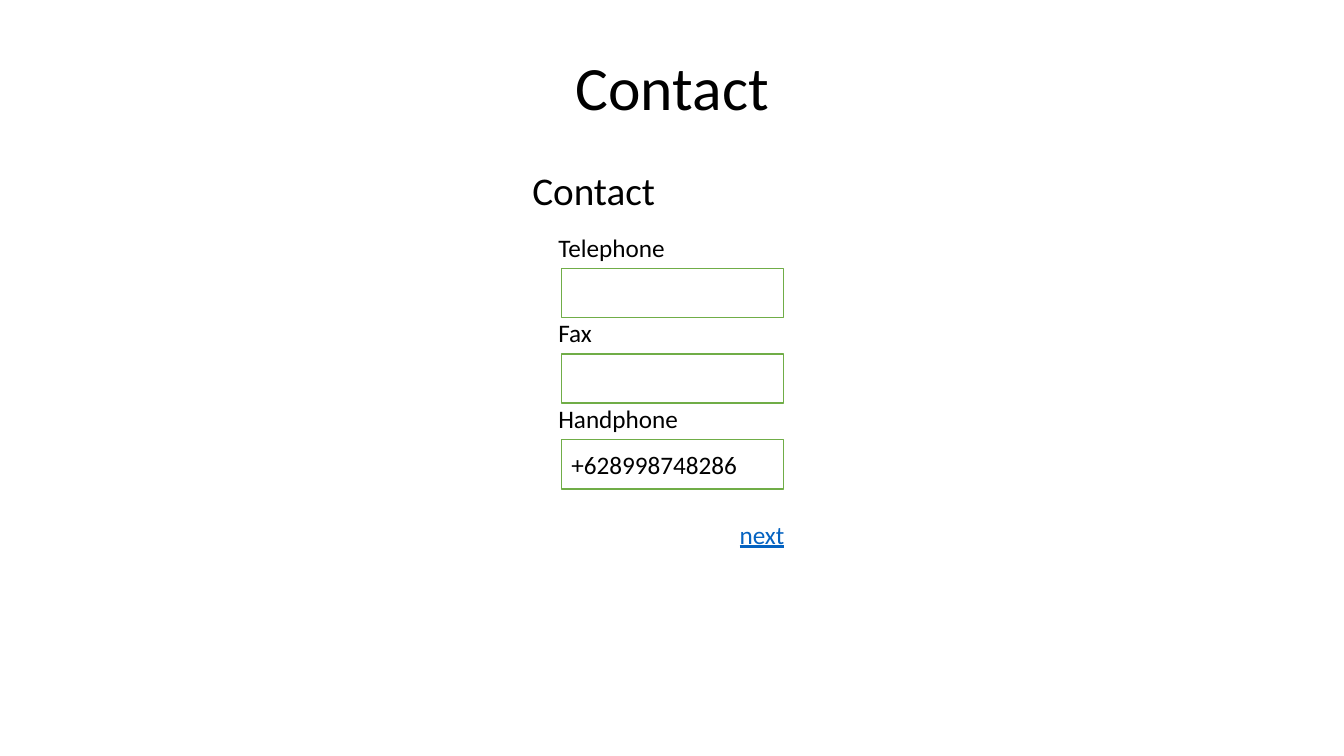
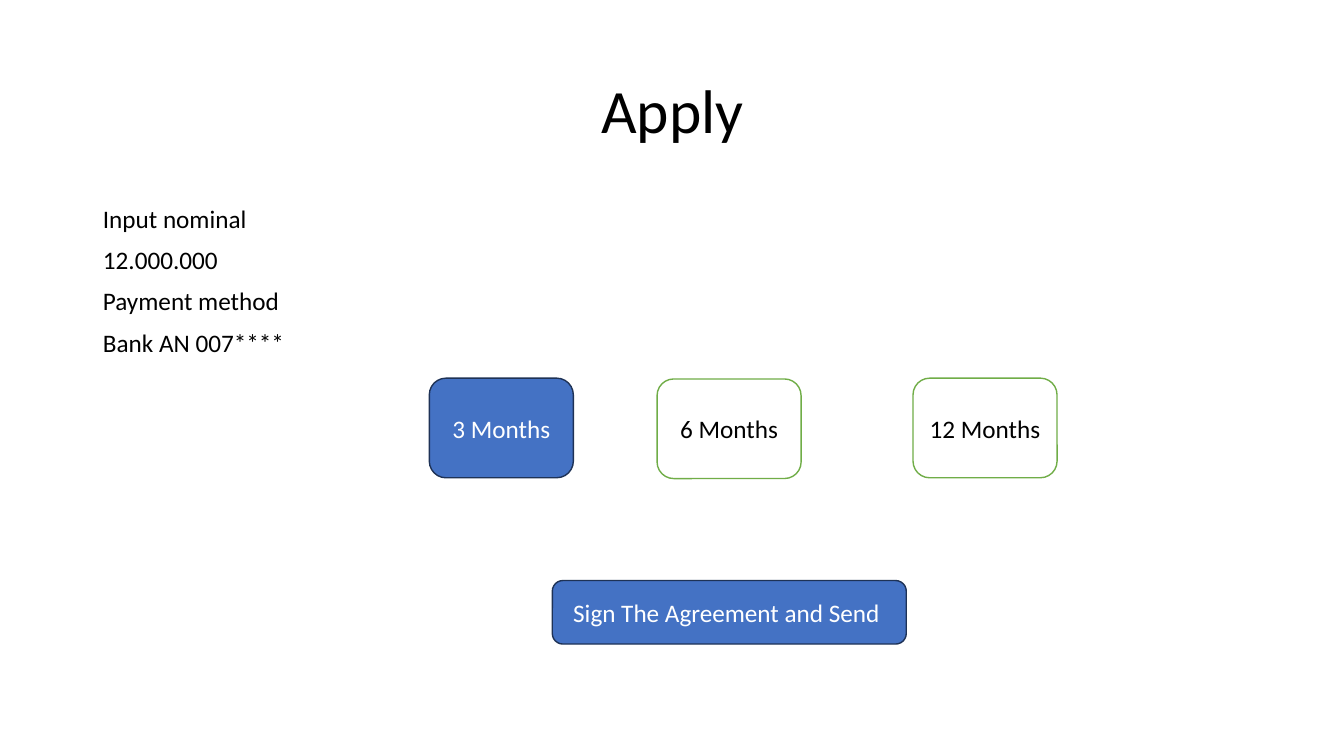
from lxml import etree
from pptx import Presentation
from pptx import util as u
from pptx.dml.color import RGBColor
from pptx.enum import shapes, text
from pptx.oxml.ns import qn

COLOURS = {
    "ink": "000000",
    "paper": "FFFFFF",
    "outline": "70AD47",
    "accent": "4472C4",
    "accent_edge": "1E3256",
    "link": "0563C1",
}
ALIGN = text.PP_ALIGN
SHAPE = shapes.MSO_SHAPE


def rgb(name):
    return RGBColor.from_string(COLOURS[name])


class Deck:
    """Holds the shared style and the slide being built; lengths are in cm."""

    font = "Calibri"
    title_size, text_size = 44, 18

    def __init__(self):
        self.prs = Presentation()
        self.prs.slide_width, self.prs.slide_height = u.Cm(33.87), u.Cm(19.05)
        self.slide = None

    def style(self, paragraph, size=text_size, colour="ink", align=ALIGN.LEFT):
        paragraph.alignment = align
        paragraph.font.name = self.font
        paragraph.font.size = u.Pt(size)
        paragraph.font.color.rgb = rgb(colour)

    def place(self, holder, box):
        holder.left, holder.top, holder.width, holder.height = map(u.Cm, box)
        holder.text_frame.auto_size = text.MSO_AUTO_SIZE.NONE

    def new_slide(self, title, title_height):
        self.slide = self.prs.slides.add_slide(self.prs.slide_layouts[1])
        heading = self.slide.shapes.title
        heading.text_frame.text = title
        self.place(heading, (2.34, 1.02, 29.21, title_height))
        heading.text_frame.vertical_anchor = text.MSO_ANCHOR.MIDDLE
        paragraph = heading.text_frame.paragraphs[0]
        paragraph.line_spacing = 0.9
        self.style(paragraph, self.title_size, align=ALIGN.CENTER)

    def body(self, lines, box, size=text_size):
        holder = self.slide.placeholders[1]
        holder.text_frame.text = "\n".join(lines)
        self.place(holder, box)
        for i, paragraph in enumerate(holder.text_frame.paragraphs):
            paragraph.line_spacing = 0.9
            paragraph.space_before = u.Pt(10 if i else 0)
            # No bullet and no hanging indent
            props = paragraph._p.get_or_add_pPr()
            props.set("marL", "0")
            props.set("indent", "0")
            etree.SubElement(props, qn("a:buNone"))
            self.style(paragraph, size)

    def label(self, wording, box, colour="ink", underline=False):
        frame = self.slide.shapes.add_textbox(*map(u.Cm, box)).text_frame
        frame.word_wrap = False
        frame.auto_size = text.MSO_AUTO_SIZE.SHAPE_TO_FIT_TEXT
        frame.text = wording
        self.style(frame.paragraphs[0], colour=colour)
        if underline:
            frame.paragraphs[0].font.underline = True

    def panel(self, kind, wording, box, active=False, align=ALIGN.CENTER):
        panel = self.slide.shapes.add_shape(kind, *map(u.Cm, box))
        panel.shadow.inherit = False
        panel.fill.solid()
        panel.fill.fore_color.rgb = rgb("accent" if active else "paper")
        panel.line.color.rgb = rgb("accent_edge" if active else "outline")
        panel.line.width = u.Pt(1)
        if wording:
            frame = panel.text_frame
            frame.text = wording
            frame.vertical_anchor = text.MSO_ANCHOR.MIDDLE
            self.style(frame.paragraphs[0], colour="paper" if active else "ink", align=align)

    def field(self, name, value, top, label_width):
        self.panel(SHAPE.RECTANGLE, value, (14.15, top + 1.04, 5.59, 1.24), align=ALIGN.LEFT)
        self.label(name, (13.82, top, label_width, 1.02))

    def button(self, wording, box, active=False):
        self.panel(SHAPE.ROUNDED_RECTANGLE, wording, box, active)


def contact(deck):
    deck.new_slide("Contact", 2.51)
    deck.body(["Contact"], (13.16, 4.19, 7.54, 10.69), size=28)
    # Form fields, evenly stacked
    fields = [("Telephone", "", 3.23), ("Fax", "", 1.37), ("Handphone", "+628998748286", 3.58)]
    for row, (name, value, label_width) in enumerate(fields):
        deck.field(name, value, 5.72 + 2.16 * row, label_width)
    deck.label("next", (18.39, 12.95, 1.65, 1.02), "link", underline=True)


def apply_for_loan(deck):
    deck.new_slide("Apply", 3.68)
    deck.body(
        ["Input nominal", "12.000.000", "Payment method", "Bank AN 007****"],
        (2.34, 5.08, 29.21, 12.09),
    )
    deck.button("Sign The Agreement and Send ", (13.92, 14.63, 8.92, 1.6), active=True)
    # Loan terms, the first one chosen
    terms = [("3 Months", 10.82, 9.53), ("6 Months", 16.56, 9.55), ("12 Months", 23.01, 9.53)]
    for term, left, top in terms:
        deck.button(term, (left, top, 3.63, 2.51), active=term == "3 Months")


def main():
    deck = Deck()
    contact(deck)
    apply_for_loan(deck)
    deck.prs.save("out.pptx")


if __name__ == "__main__":
    main()
